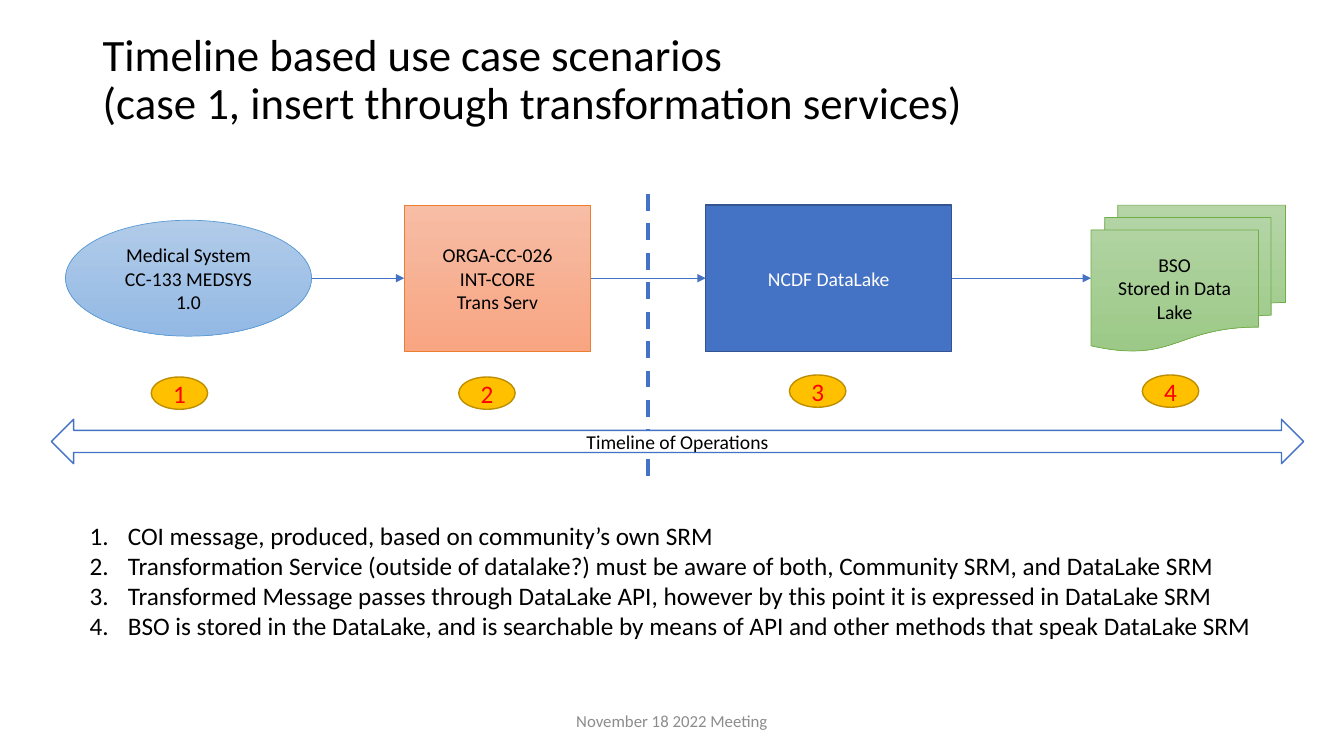
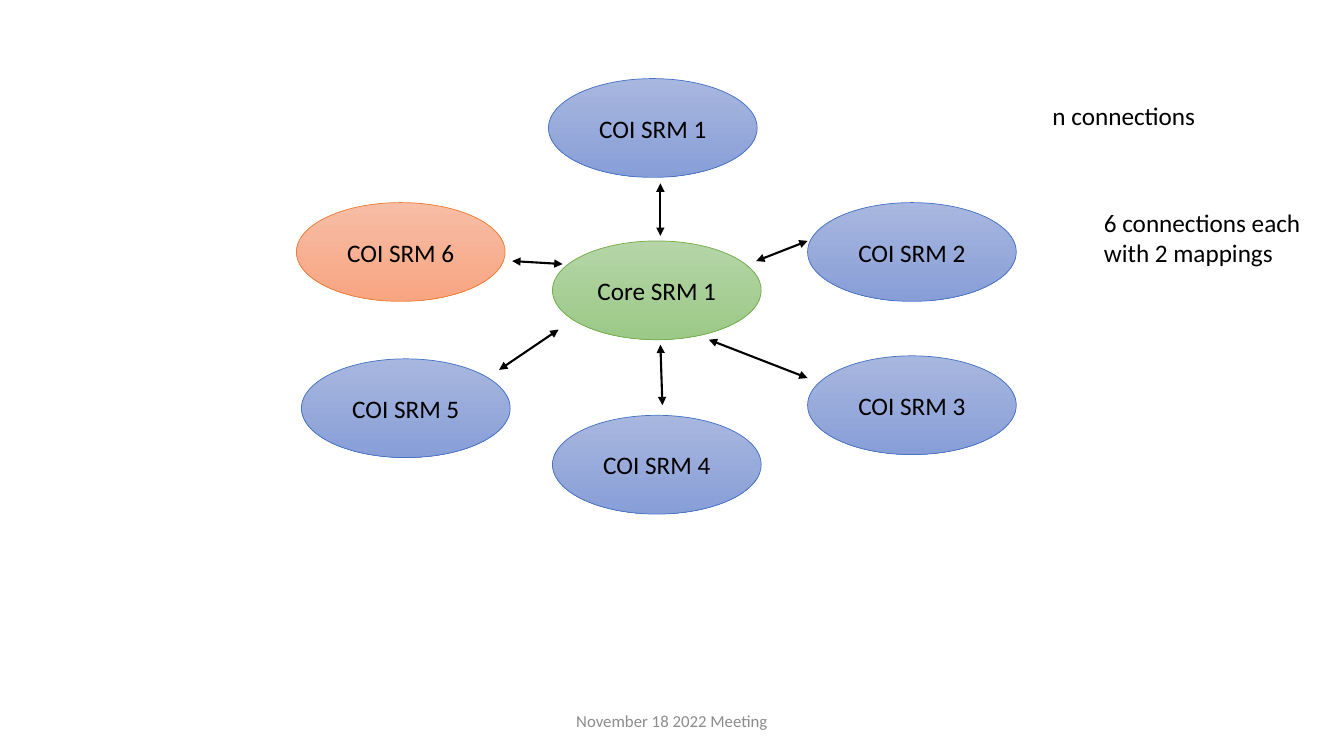
from dataclasses import dataclass

from lxml.etree import SubElement
from pptx import Presentation
from pptx.dml.color import RGBColor
from pptx.enum.dml import MSO_LINE
from pptx.enum.shapes import MSO_CONNECTOR, MSO_SHAPE
from pptx.enum.text import MSO_ANCHOR, PP_ALIGN
from pptx.oxml.ns import qn
from pptx.util import Inches, Pt


@dataclass(frozen=True)
class Paint:
    fill: tuple
    line: str
    width: float = 0.5
    ink: str = "000000"


@dataclass(frozen=True)
class Theme:
    font: str = "Calibri"
    ink: str = "000000"
    muted: str = "8C8C8C"
    accent: str = "4472C4"
    title: int = 32
    body: int = 18
    label: int = 14
    footer: int = 12
    sky: Paint = Paint(("B1CBE9", "93B9E4"), "5B9BD5")
    orange: Paint = Paint(("F7BDA5", "F8A582"), "ED7D31")
    green: Paint = Paint(("B5D5A7", "9CC987"), "70AD47")
    indigo: Paint = Paint(("A8B7DF", "889ED7"), "4472C4")
    solid: Paint = Paint(("4472C4",), "325491", 1, "FFFFFF")
    badge: Paint = Paint(("FFC000",), "BD8E00", 1, "FF0000")
    hollow: Paint = Paint(("FFFFFF",), "4472C4", 1)


THEME = Theme()
WIDTH, HEIGHT = 13.33, 7.5
FOOTER = "November 18 2022 Meeting"

TITLE = "Timeline based use case scenarios \n(case 1, insert through transformation services)"
FLOW_AXIS = 2.76
STAGES = [
    (MSO_SHAPE.OVAL, 0.65, 2.44, 1.15, THEME.sky,
     ["Medical System", "CC-133 MEDSYS 1.0"]),
    (MSO_SHAPE.RECTANGLE, 4.01, 1.85, 1.45, THEME.orange,
     ["ORGA-CC-026\nINT-CORE", "Trans Serv"]),
    (MSO_SHAPE.RECTANGLE, 7, 2.44, 1.45, THEME.solid, ["NCDF DataLake"]),
    (MSO_SHAPE.FLOWCHART_MULTIDOCUMENT, 10.82, 1.93, 1.45, THEME.green,
     ["BSO", "Stored in Data", "Lake"]),
]
BADGES = [(1.5, 3.74), (4.55, 3.74), (7.83, 3.72), (11.33, 3.72)]
BADGE_SIZE = (0.56, 0.32)
STEPS = [
    "COI message, produced, based on community’s own SRM",
    "Transformation Service (outside of datalake?) must be aware of both, Community SRM, and DataLake SRM",
    "Transformed Message passes through DataLake API, however by this point it is expressed in DataLake SRM",
    "BSO is stored in the DataLake, and is searchable by means of API and other methods that speak DataLake SRM",
]

NODE_SIZE = (2.07, 0.98)
NODES = [
    ("COI SRM 1", 5.44, 0.78, THEME.indigo),
    ("COI SRM 2", 8.01, 2.01, THEME.indigo),
    ("COI SRM 3", 8.01, 3.53, THEME.indigo),
    ("COI SRM 4", 5.48, 4.12, THEME.indigo),
    ("COI SRM 5", 2.99, 3.56, THEME.indigo),
    ("COI SRM 6", 2.94, 2.01, THEME.orange),
    ("Core SRM 1", 5.48, 2.39, THEME.green),
]
SPOKES = [
    ((6.55, 1.82), (6.55, 2.34)),
    ((8.01, 2.39), (7.5, 2.59)),
    ((7.03, 3.37), (8.01, 3.75)),
    ((6.55, 3.42), (6.57, 4.02)),
    ((5.54, 3.27), (4.95, 3.67)),
    ((5.08, 2.59), (5.58, 2.62)),
]
NOTES = [
    (["n connections"], (10.34, 0.95, 1.8, 0.4)),
    (["6 connections each", "with 2 mappings"], (10.85, 2.01, 2.3, 0.71)),
]


def color(value):
    return RGBColor.from_string(value)


def write(frame, lines, size, ink, align=PP_ALIGN.LEFT, anchor=MSO_ANCHOR.TOP):
    frame.word_wrap = True
    frame.vertical_anchor = anchor
    for index, line in enumerate(lines):
        para = frame.add_paragraph() if index else frame.paragraphs[0]
        para.alignment = align
        for part_index, part in enumerate(line.split("\n")):
            if part_index:
                para.add_line_break()
            span = para.add_run()
            span.text = part
            span.font.name = THEME.font
            span.font.size = Pt(size)
            span.font.color.rgb = color(ink)


def add_text(page, lines, place, size=THEME.body, ink=THEME.ink, **layout):
    box = page.shapes.add_textbox(*map(Inches, place))
    write(box.text_frame, lines, size, ink, **layout)
    return box.text_frame


def add_figure(page, preset, place, paint, lines, size):
    shape = page.shapes.add_shape(preset, *map(Inches, place))
    shape.shadow.inherit = False
    if len(paint.fill) > 1:
        shape.fill.gradient()
        shape.fill.gradient_angle = 270
        for stop, value in zip(shape.fill.gradient_stops, paint.fill):
            stop.color.rgb = color(value)
    else:
        shape.fill.solid()
        shape.fill.fore_color.rgb = color(paint.fill[0])
    shape.line.color.rgb = color(paint.line)
    shape.line.width = Pt(paint.width)
    write(shape.text_frame, lines, size, paint.ink, PP_ALIGN.CENTER, MSO_ANCHOR.MIDDLE)
    return shape


def add_line(page, start, end, ink, width, ends=(), dash=None):
    line = page.shapes.add_connector(MSO_CONNECTOR.STRAIGHT, *map(Inches, start + end))
    line.line.color.rgb = color(ink)
    line.line.width = Pt(width)
    if dash:
        line.line.dash_style = dash
    properties = line.element.spPr
    for name in ends:
        SubElement(properties.find(qn("a:ln")), qn(f"a:{name}"), type="triangle")
    SubElement(properties, qn("a:effectLst"))
    return line


def number_paragraphs(frame):
    for para in frame.paragraphs:
        properties = para._p.get_or_add_pPr()
        properties.set("marL", str(Inches(0.38)))
        properties.set("indent", str(-Inches(0.38)))
        SubElement(properties, qn("a:buAutoNum"), type="arabicPeriod")


def add_page(deck):
    page = deck.slides.add_slide(deck.slide_layouts[6])
    add_text(page, [FOOTER], ((WIDTH - 4.5) / 2, 6.95, 4.5, 0.4), THEME.footer,
             THEME.muted, align=PP_ALIGN.CENTER, anchor=MSO_ANCHOR.MIDDLE)
    return page


def build_timeline(deck):
    page = add_page(deck)
    title = add_text(page, [TITLE], (0.92, 0.15, 11.5, 1.31), THEME.title,
                     anchor=MSO_ANCHOR.MIDDLE)
    title.paragraphs[0].line_spacing = 0.9
    number_paragraphs(add_text(page, STEPS, (0.79, 5.11, 12.2, 1.31)))

    shapes = [
        add_figure(page, preset, (left, FLOW_AXIS - height / 2, width, height),
                   paint, lines, THEME.label)
        for preset, left, width, height, paint, lines in STAGES
    ]
    for index in range(len(STAGES) - 1):
        preset, left, width = STAGES[index][:3]
        arrow = add_line(page, (left + width, FLOW_AXIS), (STAGES[index + 1][1], FLOW_AXIS),
                         THEME.accent, 0.5, ["tailEnd"])
        if preset == MSO_SHAPE.RECTANGLE:
            arrow.begin_connect(shapes[index], 3)
        arrow.end_connect(shapes[index + 1], 1)

    add_line(page, (6.43, 4.72), (6.43, 1.85), THEME.accent, 3, dash=MSO_LINE.DASH)
    for number, corner in enumerate(BADGES, 1):
        add_figure(page, MSO_SHAPE.OVAL, corner + BADGE_SIZE, THEME.badge,
                   [str(number)], THEME.body)
    add_figure(page, MSO_SHAPE.LEFT_RIGHT_ARROW, (0.51, 4.16, 12.42, 0.44),
               THEME.hollow, ["Timeline of Operations"], THEME.label)


def build_hub(deck):
    page = add_page(deck)
    for name, left, top, paint in NODES:
        add_figure(page, MSO_SHAPE.OVAL, (left, top) + NODE_SIZE, paint, [name], THEME.body)
    for start, end in SPOKES:
        add_line(page, start, end, THEME.ink, 1.5, ["headEnd", "tailEnd"])
    for lines, place in NOTES:
        add_text(page, lines, place)


def main():
    deck = Presentation()
    deck.slide_width, deck.slide_height = Inches(WIDTH), Inches(HEIGHT)
    build_timeline(deck)
    build_hub(deck)
    deck.save("out.pptx")


if __name__ == "__main__":
    main()
